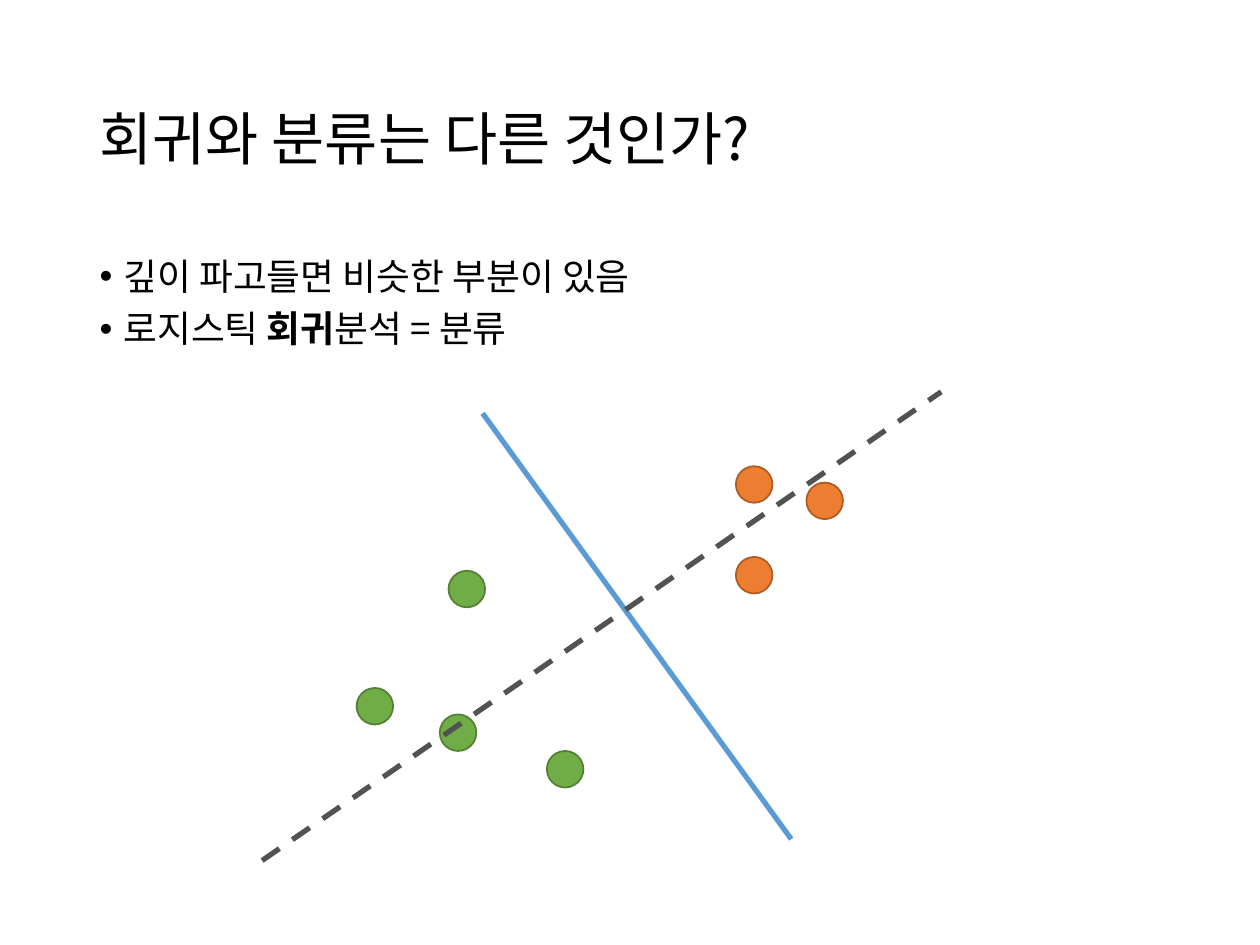
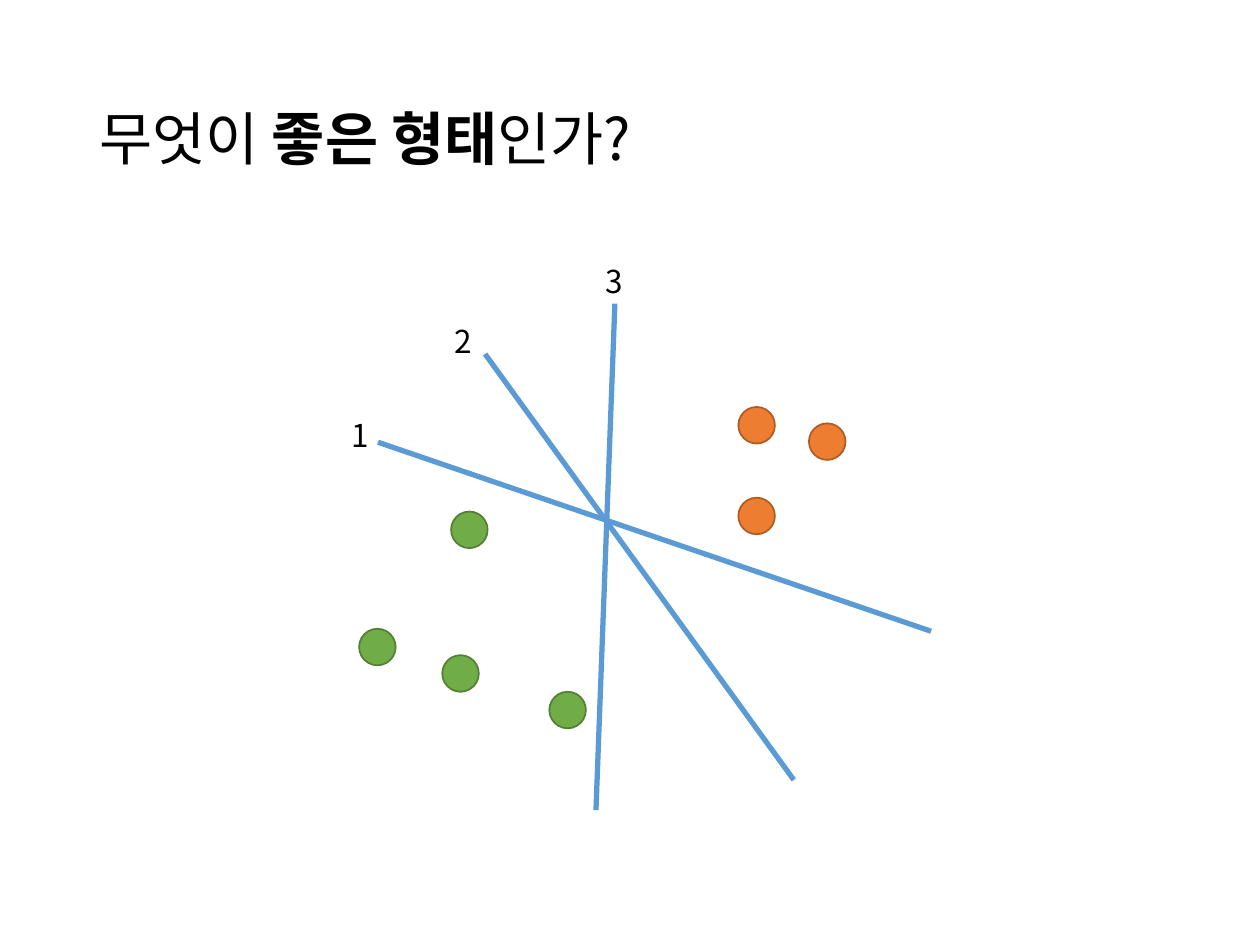
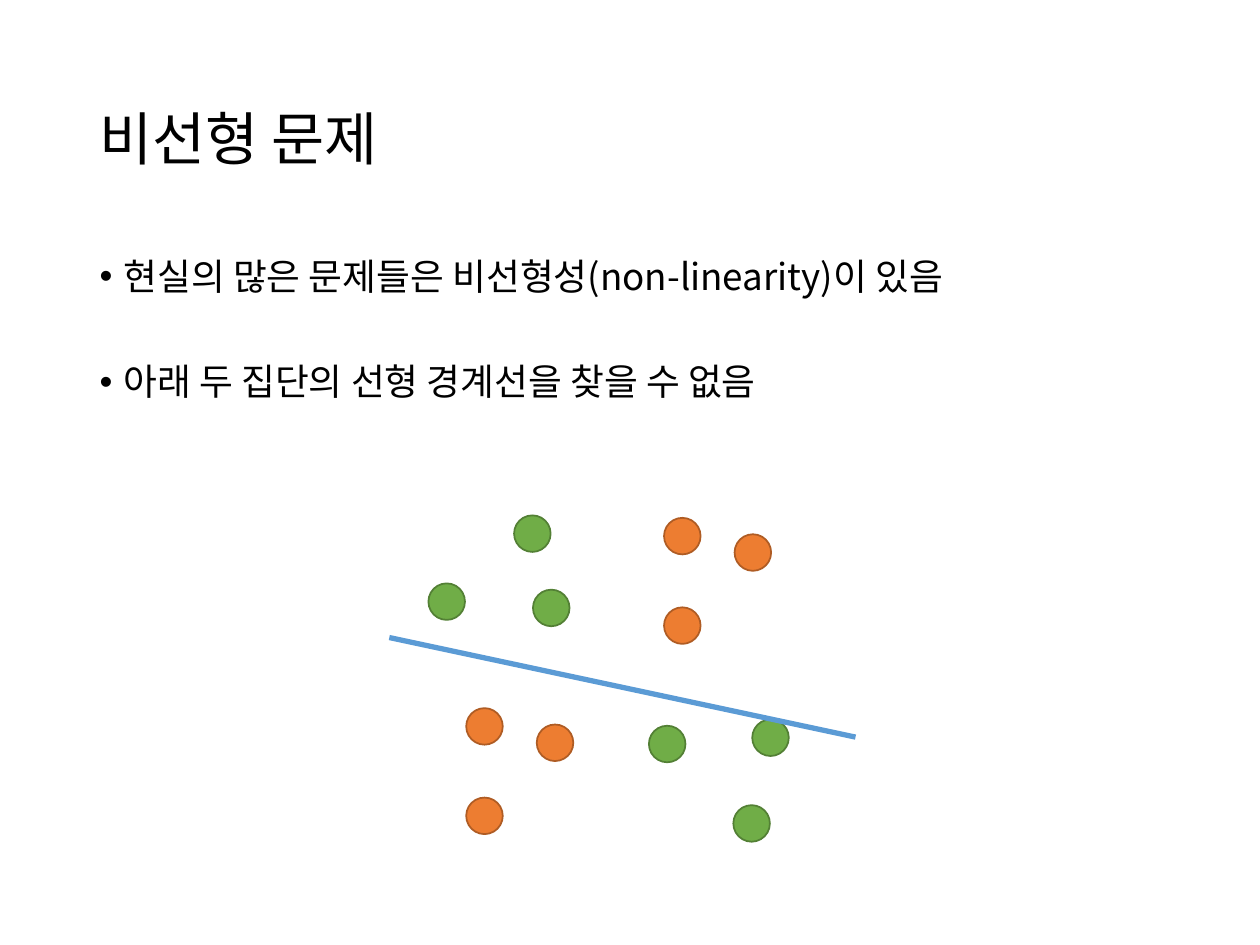
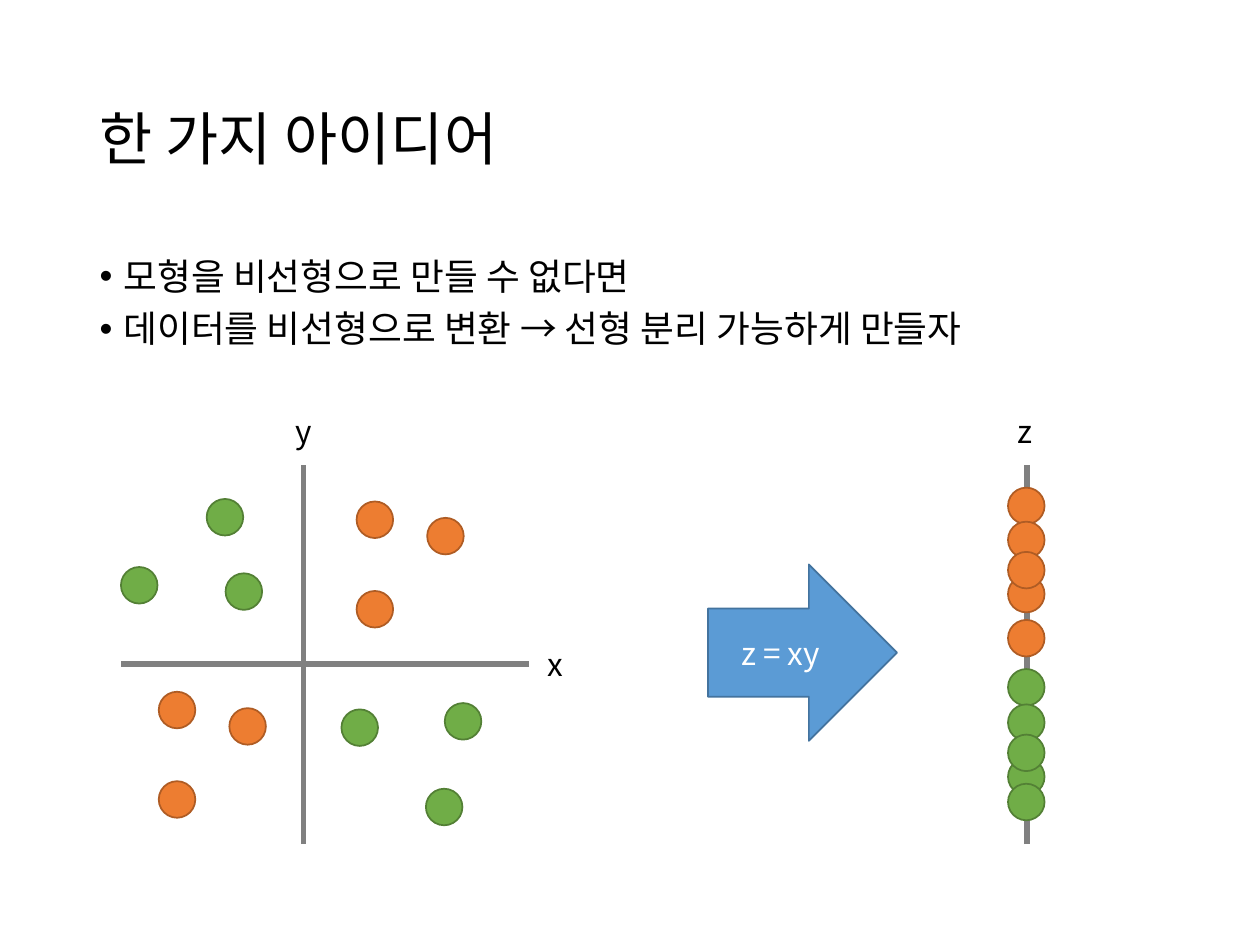
"""Build four slides on linear separation and non-linear transformation."""
from dataclasses import dataclass

from lxml.etree import SubElement
from pptx import Presentation
from pptx.dml.color import RGBColor
from pptx.enum.dml import MSO_LINE
from pptx.enum.shapes import MSO_CONNECTOR, MSO_SHAPE
from pptx.enum.text import MSO_ANCHOR, MSO_AUTO_SIZE, PP_ALIGN
from pptx.oxml.ns import qn
from pptx.util import Inches, Pt


@dataclass(frozen=True)
class Theme:
    font: str = "Noto Sans CJK KR"
    text: str = "000000"
    inverse: str = "FFFFFF"
    blue: str = "5B9BD5"
    blue_edge: str = "43739E"
    green: str = "70AD47"
    green_edge: str = "538035"
    orange: str = "ED7D31"
    orange_edge: str = "AF5C24"
    axis: str = "808080"
    trend: str = "525252"
    title_size: int = 33
    body_size: int = 21
    label_size: int = 18
    heavy_line: int = 3
    thin_line: int = 1


theme = Theme()


def add_run(paragraph, text, size, color=theme.text, bold=False):
    run = paragraph.add_run()
    run.text = text
    run.font.size = Pt(size)
    run.font.bold = bold
    run.font.color.rgb = RGBColor.from_string(color)
    run.font.name = theme.font
    SubElement(run.font._element, qn("a:ea"), typeface=theme.font)


def add_lines(slide, lines):
    for start_x, start_y, end_x, end_y, color, dash in lines:
        connector = slide.shapes.add_connector(
            MSO_CONNECTOR.STRAIGHT,
            Inches(start_x), Inches(start_y), Inches(end_x), Inches(end_y),
        )
        connector.line.color.rgb = RGBColor.from_string(color)
        connector.line.width = Pt(theme.heavy_line)
        if dash:
            connector.line.dash_style = dash
        SubElement(connector._element.spPr, qn("a:effectLst"))


green = (theme.green, theme.green_edge)
orange = (theme.orange, theme.orange_edge)
dot_size = 0.29

two_clusters = [
    (2.83, 5.46, green), (3.49, 5.67, green), (3.56, 4.53, green),
    (4.34, 5.96, green), (5.84, 4.42, orange), (5.84, 3.7, orange),
    (6.4, 3.83, orange),
]
four_clusters = [
    (3.4, 4.63, green), (4.08, 4.09, green), (4.23, 4.68, green),
    (5.97, 5.71, green), (5.15, 5.76, green), (5.82, 6.39, green),
    (5.27, 4.82, orange), (5.27, 4.11, orange), (5.83, 4.24, orange),
    (3.7, 6.33, orange), (3.7, 5.62, orange), (4.26, 5.75, orange),
]
products = [(8, top, orange) for top in (3.87, 4.57, 4.92, 4.14, 4.38)]
products += [(8, top, green) for top in (5.31, 6.02, 6.22, 5.59, 5.83)]

slide_contents = [
    {
        "title": [("회귀와 분류는 다른 것인가?", False)],
        "bullets": [
            [("깊이 파고들면 비슷한 부분이 있음", False)],
            [("로지스틱 ", False), ("회귀", True), ("분석 = 분류", False)],
        ],
        "back_lines": [(6.28, 6.66, 3.83, 3.28, theme.blue, None)],
        "dots": two_clusters,
        "front_lines": [(2.08, 6.83, 7.47, 3.11, theme.trend, MSO_LINE.DASH)],
    },
    {
        "title": [("무엇이 ", False), ("좋은 형태", True), ("인가?", False)],
        "dots": [(left + 0.02, top - 0.47, colors) for left, top, colors in two_clusters],
        "front_lines": [
            (6.3, 6.19, 3.85, 2.81, theme.blue, None),
            (7.39, 5.01, 3, 3.51, theme.blue, None),
            (4.73, 6.43, 4.88, 2.41, theme.blue, None),
        ],
        "labels": [("1", 2.69, 3.25), ("2", 3.51, 2.51), ("3", 4.71, 2.03)],
    },
    {
        "title": [("비선형 문제", False)],
        "bullets": [
            [("현실의 많은 문제들은 비선형성(non-linearity)이 있음", False)],
            [("아래 두 집단의 선형 경계선을 찾을 수 없음", False)],
        ],
        "bullet_gap": 37.75,
        "dots": four_clusters,
        "front_lines": [(6.79, 5.85, 3.09, 5.06, theme.blue, None)],
    },
    {
        "title": [("한 가지 아이디어", False)],
        "bullets": [
            [("모형을 비선형으로 만들 수 없다면", False)],
            [("데이터를 비선형으로 변환 → 선형 분리 가능하게 만들자", False)],
        ],
        "back_lines": [
            (2.41, 6.7, 2.41, 3.69, theme.axis, None),
            (4.2, 5.27, 0.96, 5.27, theme.axis, None),
            (8.15, 6.7, 8.15, 3.69, theme.axis, None),
        ],
        "dots": [(left - 2.44, top - 0.13, colors) for left, top, colors in four_clusters]
        + products,
        "labels": [("x", 4.25, 5.07), ("y", 2.25, 3.22), ("z", 7.98, 3.22)],
        "arrow": "z = xy",
    },
]

presentation = Presentation()
presentation.slide_width = Inches(10)
presentation.slide_height = Inches(7.5)
content_layout = presentation.slide_layouts[1]
title_layout = presentation.slide_layouts[5]

for content in slide_contents:
    bullets = content.get("bullets")
    slide = presentation.slides.add_slide(content_layout if bullets else title_layout)

    title = slide.shapes.title
    title.left, title.top = Inches(0.69), Inches(0.4)
    title.width, title.height = Inches(8.62), Inches(1.45)
    title.text_frame.auto_size = MSO_AUTO_SIZE.NONE
    title.text_frame.vertical_anchor = MSO_ANCHOR.MIDDLE
    paragraph = title.text_frame.paragraphs[0]
    paragraph.alignment = PP_ALIGN.LEFT
    paragraph.line_spacing = 0.9
    for text, bold in content["title"]:
        add_run(paragraph, text, theme.title_size, bold=bold)

    if bullets:
        body = slide.placeholders[1]
        body.left, body.top = Inches(0.69), Inches(2)
        body.width, body.height = Inches(8.62), Inches(4.76)
        body.text_frame.auto_size = MSO_AUTO_SIZE.NONE
        for index, runs in enumerate(bullets):
            paragraph = body.text_frame.add_paragraph() if index else body.text_frame.paragraphs[0]
            paragraph.line_spacing = 0.9
            paragraph.space_before = Pt(content.get("bullet_gap", 7.5) if index else 7.5)
            properties = paragraph._p.get_or_add_pPr()
            properties.set("marL", str(Inches(0.19)))
            properties.set("indent", str(-Inches(0.19)))
            for text, bold in runs:
                add_run(paragraph, text, theme.body_size, bold=bold)

    add_lines(slide, content.get("back_lines", []))

    for left, top, (fill_color, edge_color) in content["dots"]:
        dot = slide.shapes.add_shape(
            MSO_SHAPE.OVAL, Inches(left), Inches(top), Inches(dot_size), Inches(dot_size)
        )
        dot.shadow.inherit = False
        dot.fill.solid()
        dot.fill.fore_color.rgb = RGBColor.from_string(fill_color)
        dot.line.color.rgb = RGBColor.from_string(edge_color)
        dot.line.width = Pt(theme.thin_line)

    add_lines(slide, content.get("front_lines", []))

    for text, left, top in content.get("labels", []):
        label = slide.shapes.add_textbox(Inches(left), Inches(top), Inches(0.33), Inches(0.4))
        label.text_frame.word_wrap = False
        add_run(label.text_frame.paragraphs[0], text, theme.label_size)

    if "arrow" in content:
        arrow = slide.shapes.add_shape(
            MSO_SHAPE.RIGHT_ARROW, Inches(5.62), Inches(4.48), Inches(1.5), Inches(1.4)
        )
        arrow.shadow.inherit = False
        arrow.fill.solid()
        arrow.fill.fore_color.rgb = RGBColor.from_string(theme.blue)
        arrow.line.color.rgb = RGBColor.from_string(theme.blue_edge)
        arrow.line.width = Pt(theme.thin_line)
        arrow.text_frame.vertical_anchor = MSO_ANCHOR.MIDDLE
        paragraph = arrow.text_frame.paragraphs[0]
        paragraph.alignment = PP_ALIGN.CENTER
        add_run(paragraph, content["arrow"], theme.label_size, theme.inverse)

presentation.save("out.pptx")
